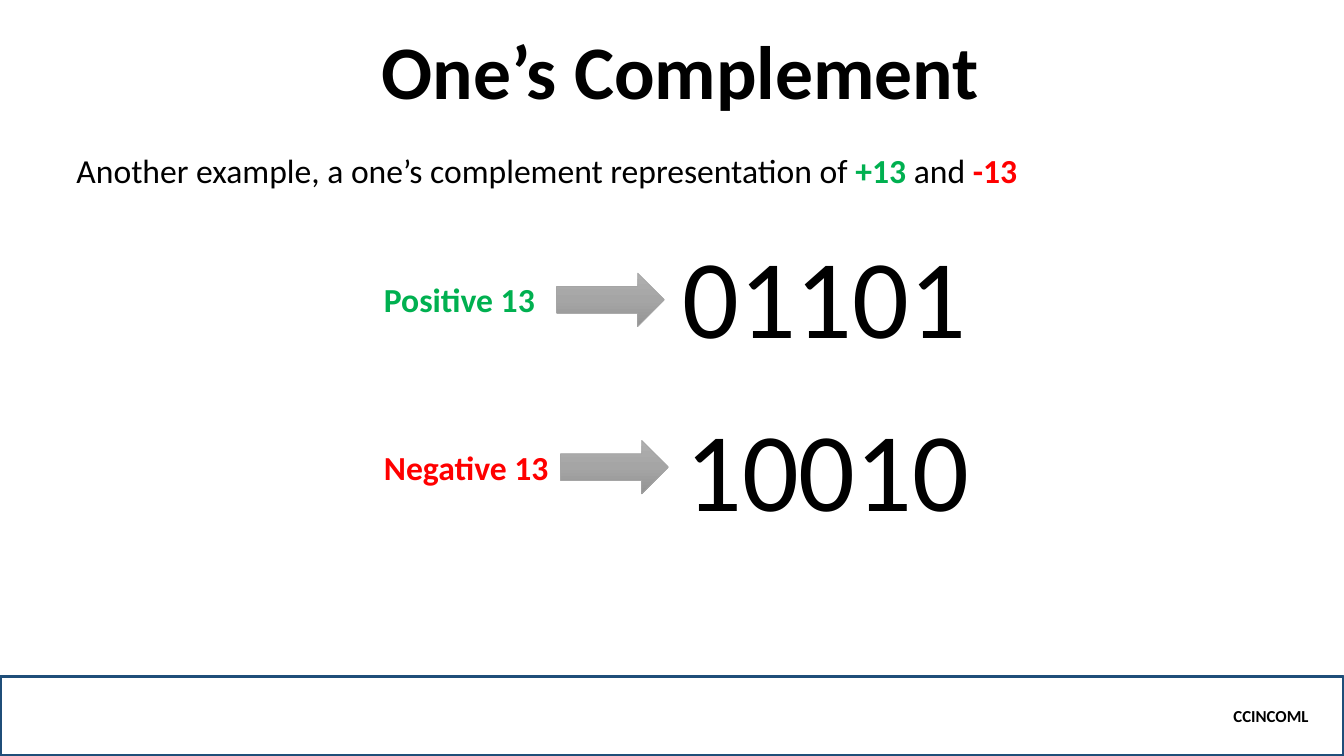
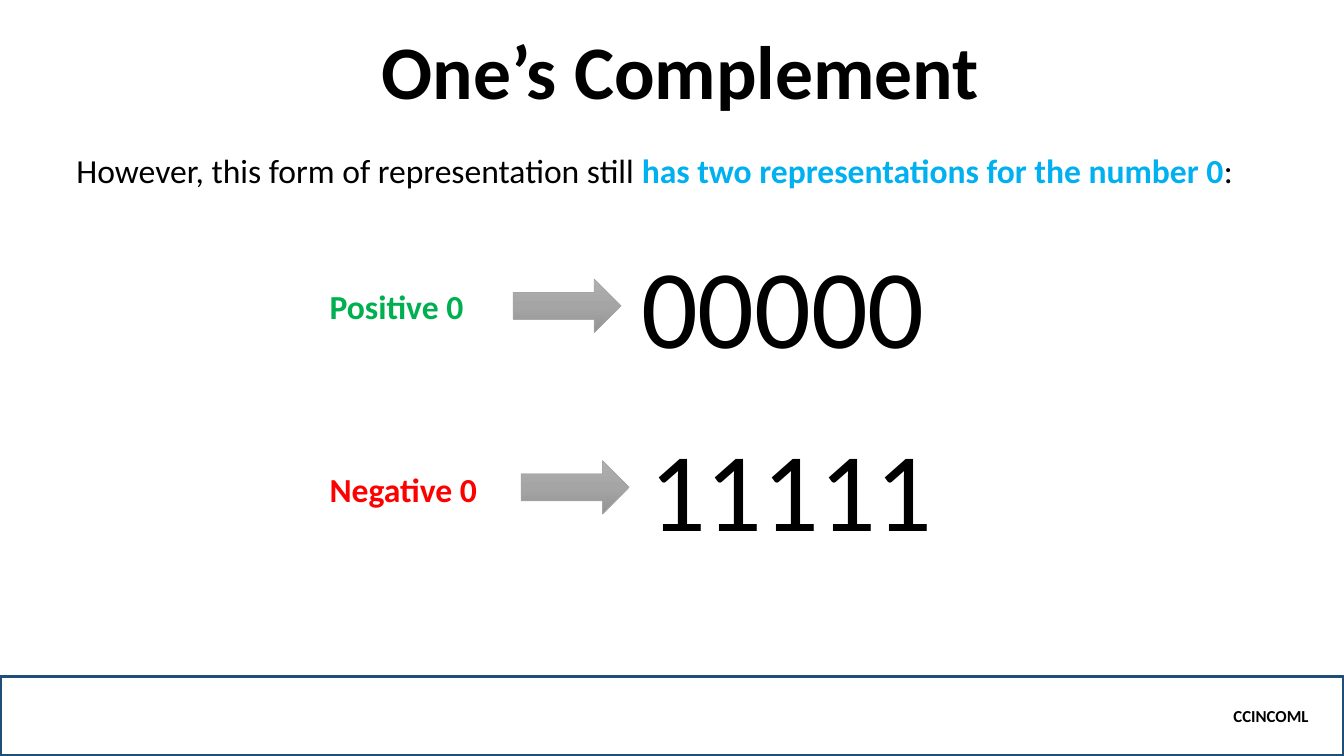
from copy import deepcopy

from pptx import Presentation
from pptx.dml.color import RGBColor
from pptx.enum.shapes import MSO_SHAPE
from pptx.enum.text import MSO_ANCHOR, PP_ALIGN
from pptx.oxml.ns import qn
from pptx.util import Inches, Pt

RECTANGLE = MSO_SHAPE.RECTANGLE
RIGHT_ARROW = MSO_SHAPE.RIGHT_ARROW
LEFT, CENTER, RIGHT = PP_ALIGN.LEFT, PP_ALIGN.CENTER, PP_ALIGN.RIGHT
TOP, MIDDLE, BOTTOM = MSO_ANCHOR.TOP, MSO_ANCHOR.MIDDLE, MSO_ANCHOR.BOTTOM

BLACK, GREEN, RED, BLUE = "000000", "00B050", "FF0000", "00B0F0"
NAVY, GRAY = "1F4E79", "A5A5A5"
ARROW_GRADIENT = [(0, "AFAFAF"), (0.5, GRAY), (1, "939393")]

TITLE_STYLE = {"size": Pt(54), "bold": True}
BODY_STYLE = {"size": Pt(24), "bold": False}
STRONG_STYLE = {"size": Pt(24), "bold": True}
NUMBER_STYLE = {"size": Pt(80), "bold": False}
FOOTER_STYLE = {"size": Pt(12), "bold": True}

# Each row: label, its colour, bits, then (left, top) of label, arrow and bits.
SLIDES = [
    {
        "intro": [
            ("Another example, a one’s complement representation of ", BODY_STYLE, BLACK),
            ("+13 ", STRONG_STYLE, GREEN),
            ("and ", BODY_STYLE, BLACK),
            ("-13", STRONG_STYLE, RED),
        ],
        "rows": [
            ("Positive 13", GREEN, "01101", (3.71, 2.72), (5.52, 2.71), (6.67, 2.2)),
            ("Negative 13", RED, "10010", (3.71, 4.38), (5.56, 4.37), (6.7, 3.91)),
        ],
    },
    {
        "intro": [
            ("However, this form of representation still ", BODY_STYLE, BLACK),
            ("has two representations for the number 0", STRONG_STYLE, BLUE),
            (":", BODY_STYLE, BLACK),
        ],
        "rows": [
            ("Positive 0", GREEN, "00000", (3.17, 2.79), (5.09, 2.77), (6.26, 2.3)),
            ("Negative 0", RED, "11111", (3.17, 4.6), (5.17, 4.57), (6.34, 4.11)),
        ],
    },
]


def color(value):
    return RGBColor.from_string(value)


def write(shape, spans, align=LEFT, anchor=TOP, spacing=1.0):
    """Fill the shape with one paragraph of (text, style, colour) spans."""
    frame = shape.text_frame
    frame.word_wrap = True
    frame.vertical_anchor = anchor
    para = frame.paragraphs[0]
    para.alignment = align
    para.line_spacing = spacing
    for text, style, text_color in spans:
        span = para.add_run()
        span.text = text
        span.font.name = "Calibri"
        span.font.color.rgb = color(text_color)
        for name, value in style.items():
            setattr(span.font, name, value)


def add_text(page, left, top, width, height, spans, **layout):
    box = page.shapes.add_textbox(
        Inches(left), Inches(top), Inches(width), Inches(height))
    write(box, spans, **layout)


def add_shape(page, kind, left, top, width, height, line_color, line_width):
    shape = page.shapes.add_shape(
        kind, Inches(left), Inches(top), Inches(width), Inches(height))
    shape.shadow.inherit = False
    shape.line.color.rgb = color(line_color)
    shape.line.width = Pt(line_width)
    return shape


def add_footer(page):
    band = add_shape(page, RECTANGLE, 0, 6.71, 13.33, 0.79, NAVY, 2.25)
    band.fill.background()
    band.text_frame.margin_right = Inches(0.35)
    write(band, [("CCINCOML", FOOTER_STYLE, BLACK)], align=RIGHT, anchor=MIDDLE)


def add_arrow(page, left, top):
    arrow = add_shape(page, RIGHT_ARROW, left, top, 1.07, 0.53, GRAY, 0.5)
    arrow.fill.gradient()
    arrow.fill.gradient_angle = 270
    stop_list = arrow.element.spPr.find(qn("a:gradFill")).find(qn("a:gsLst"))
    stop_list.insert(1, deepcopy(stop_list[0]))
    for stop, (position, shade) in zip(arrow.fill.gradient_stops, ARROW_GRADIENT):
        stop.position = position
        stop.color.rgb = color(shade)


def add_number_row(page, label, label_color, bits, label_at, arrow_at, bits_at):
    add_text(page, *label_at, 1.9, 0.5, [(label, STRONG_STYLE, label_color)])
    add_text(page, *bits_at, 3.2, 1.45, [(bits, NUMBER_STYLE, BLACK)])
    add_arrow(page, *arrow_at)


def add_page(deck, intro, rows):
    page = deck.slides.add_slide(deck.slide_layouts[6])
    add_footer(page)
    add_text(page, 0.66, 0.26, 12.18, 0.94,
             [("One’s Complement", TITLE_STYLE, BLACK)],
             align=CENTER, anchor=BOTTOM, spacing=0.9)
    add_text(page, 0.66, 1.44, 12.18, 0.5, intro)
    for row in rows:
        add_number_row(page, *row)


def main():
    deck = Presentation()
    deck.slide_width = Inches(13.33)
    deck.slide_height = Inches(7.5)
    for content in SLIDES:
        add_page(deck, **content)
    deck.save("out.pptx")


if __name__ == "__main__":
    main()
